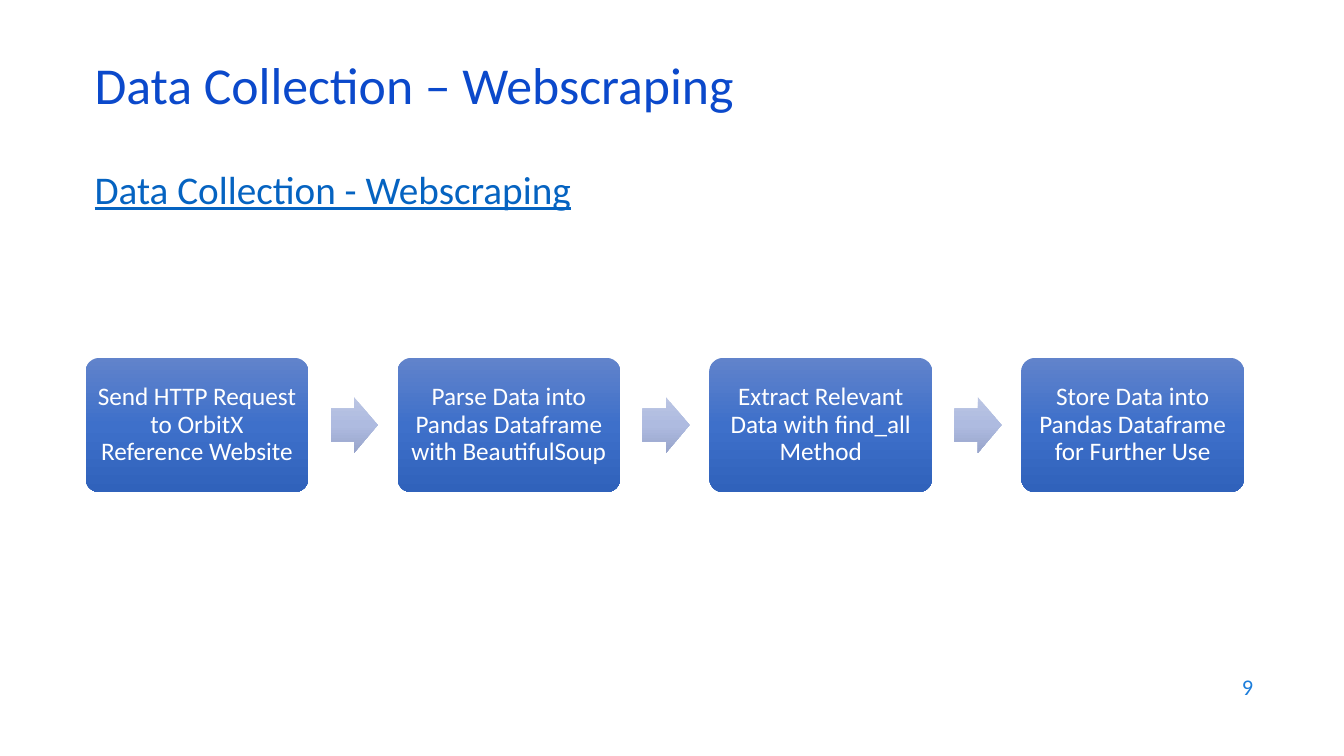
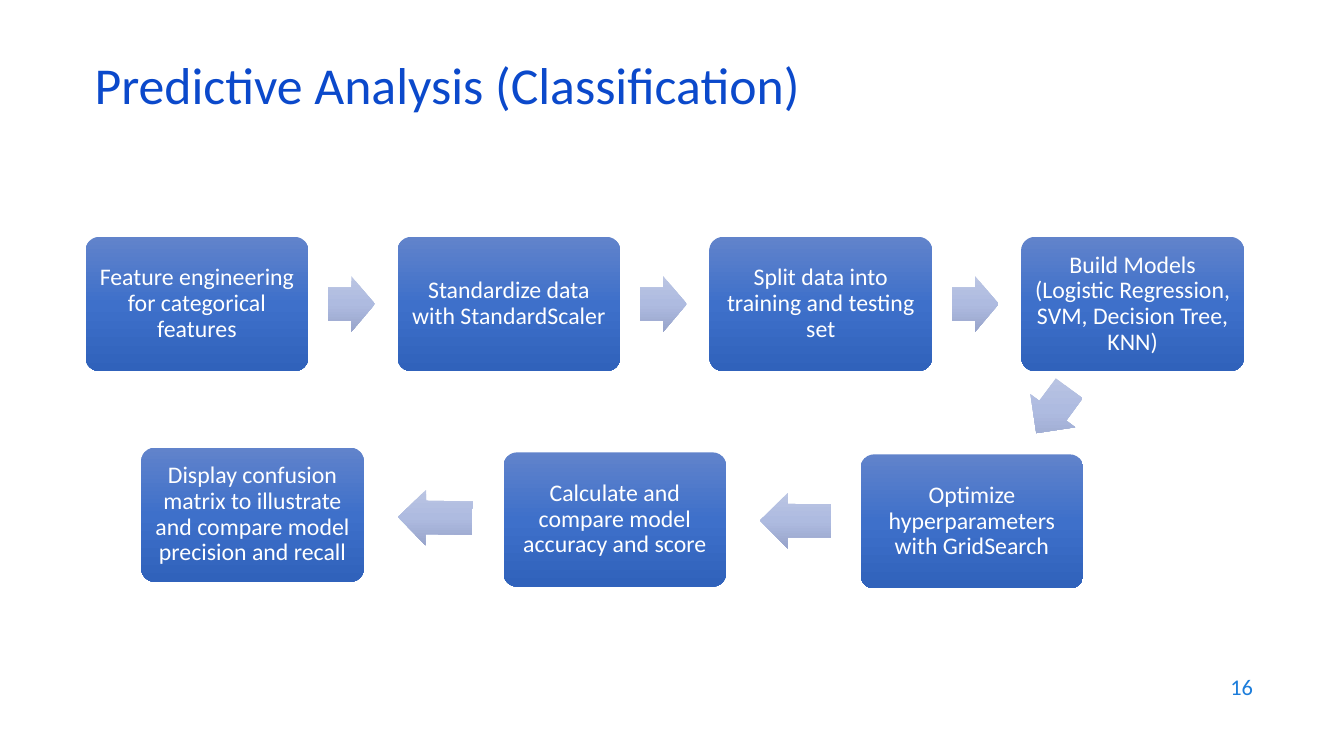
from pptx import Presentation
from pptx.dml.color import RGBColor
from pptx.enum.shapes import MSO_SHAPE
from pptx.enum.text import MSO_ANCHOR, MSO_AUTO_SIZE, PP_ALIGN
from pptx.oxml import parse_xml
from pptx.oxml.ns import nsdecls, qn
from pptx.util import Cm, Pt

# Shared style
FONT = "Calibri"
TITLE_BLUE = RGBColor(0x0B, 0x49, 0xCB)
LINK_BLUE = RGBColor(0x05, 0x63, 0xC1)
NUMBER_BLUE = RGBColor(0x1C, 0x7D, 0xDB)
WHITE = RGBColor(0xFF, 0xFF, 0xFF)
BOX_COLORS = (RGBColor(0x61, 0x83, 0xCB), RGBColor(0x3E, 0x70, 0xCA), RGBColor(0x30, 0x62, 0xBB))
ARROW_COLORS = (RGBColor(0xBB, 0xC5, 0xE3), RGBColor(0xAE, 0xBB, 0xE0), RGBColor(0x98, 0xA4, 0xCB))

# Shared flow measures in centimetres
BOX_WIDTH, BOX_HEIGHT = 5.61, 3.38
ARROW_WIDTH, ARROW_HEIGHT = 1.19, 1.4
ROW_LEFT, ROW_PITCH = 2.16, 7.86

# Row steps run left to right; extra boxes are (left, top, text),
# extra arrows are (left, top, width, rotation)
SLIDES = [
    {
        "title": "Data Collection – Webscraping",
        "body": "Data Collection - Webscraping",
        "number": "9",
        "size": 18,
        "row_top": 9.02,
        "arrow_offset": 6.17,
        "row": [
            "Send HTTP Request to OrbitX Reference Website",
            "Parse Data into Pandas Dataframe with BeautifulSoup",
            "Extract Relevant Data with find_all Method",
            "Store Data into Pandas Dataframe for Further Use",
        ],
        "boxes": [],
        "arrows": [],
    },
    {
        "title": "Predictive Analysis (Classification)",
        "body": None,
        "number": "16",
        "size": 17,
        "row_top": 5.97,
        "arrow_offset": 6.1,
        "row": [
            "Feature engineering for categorical features",
            "Standardize data with StandardScaler",
            "Split data into training and testing set",
            "Build Models (Logistic Regression, SVM, Decision Tree, KNN)",
        ],
        "boxes": [
            (21.69, 11.45, "Optimize hyperparameters with GridSearch"),
            (12.69, 11.4, "Calculate and compare model accuracy and score"),
            (3.56, 11.28, "Display confusion matrix to illustrate and compare model precision and recall"),
        ],
        "arrows": [
            (25.83, 9.65, 1.4, 126.4),
            (19.15, 12.42, 1.8, 180.2),
            (10.03, 12.34, 1.88, 180.9),
        ],
    },
]


def write(shape, text, size, color, align=PP_ALIGN.LEFT, anchor=MSO_ANCHOR.MIDDLE,
          spacing=1.0, underline=None, margin=None):
    frame = shape.text_frame
    frame.word_wrap = True
    frame.auto_size = MSO_AUTO_SIZE.NONE
    frame.vertical_anchor = anchor
    if margin is not None:
        frame.margin_left = frame.margin_right = Cm(margin)
        frame.margin_top = frame.margin_bottom = Cm(margin)
    paragraph = frame.paragraphs[0]
    paragraph.alignment = align
    paragraph.line_spacing = spacing
    paragraph.space_before = Pt(0)
    run = paragraph.add_run()
    run.text = text
    run.font.name = FONT
    run.font.size = Pt(size)
    run.font.color.rgb = color
    run.font.underline = underline


def add_flow_shape(slide, kind, left, top, width, height, colors, adjustments):
    shape = slide.shapes.add_shape(kind, Cm(left), Cm(top), Cm(width), Cm(height))
    shape.shadow.inherit = False
    shape.line.fill.background()
    for index, value in enumerate(adjustments):
        shape.adjustments[index] = value
    # Three-stop vertical gradient that stays upright when the shape turns
    stops = "".join(
        f'<a:gs pos="{index * 50000}"><a:srgbClr val="{color}"/></a:gs>'
        for index, color in enumerate(colors)
    )
    gradient = parse_xml(
        f'<a:gradFill {nsdecls("a")} rotWithShape="0"><a:gsLst>{stops}</a:gsLst>'
        '<a:lin ang="5400000" scaled="0"/></a:gradFill>'
    )
    shape._element.spPr.find(qn("a:prstGeom")).addnext(gradient)
    return shape


presentation = Presentation()
presentation.slide_width = Cm(33.87)
presentation.slide_height = Cm(19.05)

for content in SLIDES:
    layout = presentation.slide_layouts[1 if content["body"] else 5]
    slide = presentation.slides.add_slide(layout)

    # Title
    title = slide.shapes.title
    title.left, title.top, title.width, title.height = Cm(2.13), Cm(1.5), Cm(29.21), Cm(1.52)
    write(title, content["title"], 37, TITLE_BLUE, spacing=0.8)

    # Body line without a bullet
    if content["body"]:
        body = slide.placeholders[1]
        body.left, body.top, body.width, body.height = Cm(2.13), Cm(4.04), Cm(13.03), Cm(1.63)
        properties = body.text_frame.paragraphs[0]._p.get_or_add_pPr()
        properties.set("marL", "0")
        properties.set("indent", "0")
        properties.append(parse_xml(f'<a:buNone {nsdecls("a")}/>'))
        write(body, content["body"], 28, LINK_BLUE, anchor=MSO_ANCHOR.TOP, underline=True)

    # Page number
    number = slide.shapes.add_textbox(Cm(24.21), Cm(16.74), Cm(7.62), Cm(1.12))
    write(number, content["number"], 16, NUMBER_BLUE, align=PP_ALIGN.RIGHT)

    # Boxes of the flow
    row_top = content["row_top"]
    lefts = [ROW_LEFT + index * ROW_PITCH for index in range(len(content["row"]))]
    boxes = [(left, row_top, text) for left, text in zip(lefts, content["row"])]
    for left, top, text in boxes + content["boxes"]:
        box = add_flow_shape(slide, MSO_SHAPE.ROUNDED_RECTANGLE, left, top,
                             BOX_WIDTH, BOX_HEIGHT, BOX_COLORS, [0.1])
        write(box, text, content["size"], WHITE, align=PP_ALIGN.CENTER, spacing=0.9, margin=0.18)

    # Arrows between the boxes
    arrow_top = row_top + (BOX_HEIGHT - ARROW_HEIGHT) / 2
    arrows = [(left + content["arrow_offset"], arrow_top, ARROW_WIDTH, 0) for left in lefts[:-1]]
    for left, top, width, rotation in arrows + content["arrows"]:
        arrow = add_flow_shape(slide, MSO_SHAPE.RIGHT_ARROW, left, top,
                               width, ARROW_HEIGHT, ARROW_COLORS, [0.6, 0.5])
        arrow.rotation = rotation

presentation.save("out.pptx")
